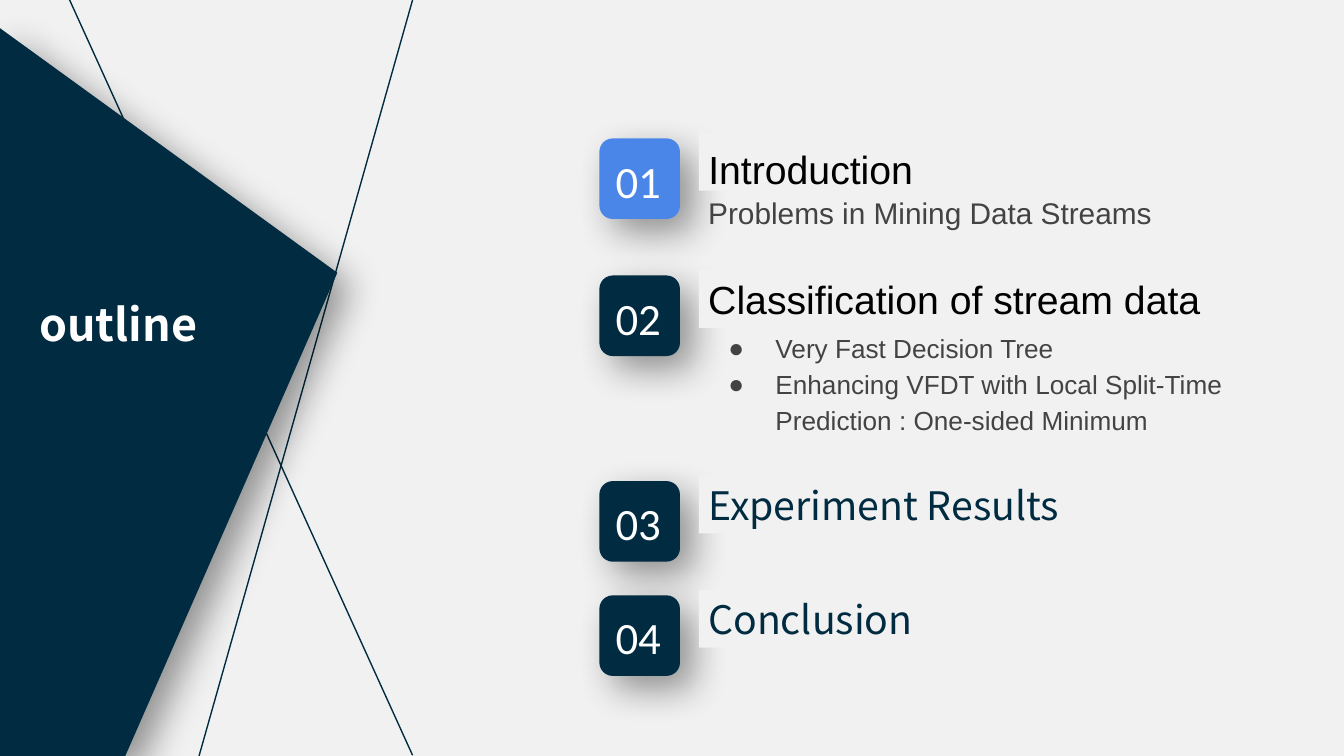
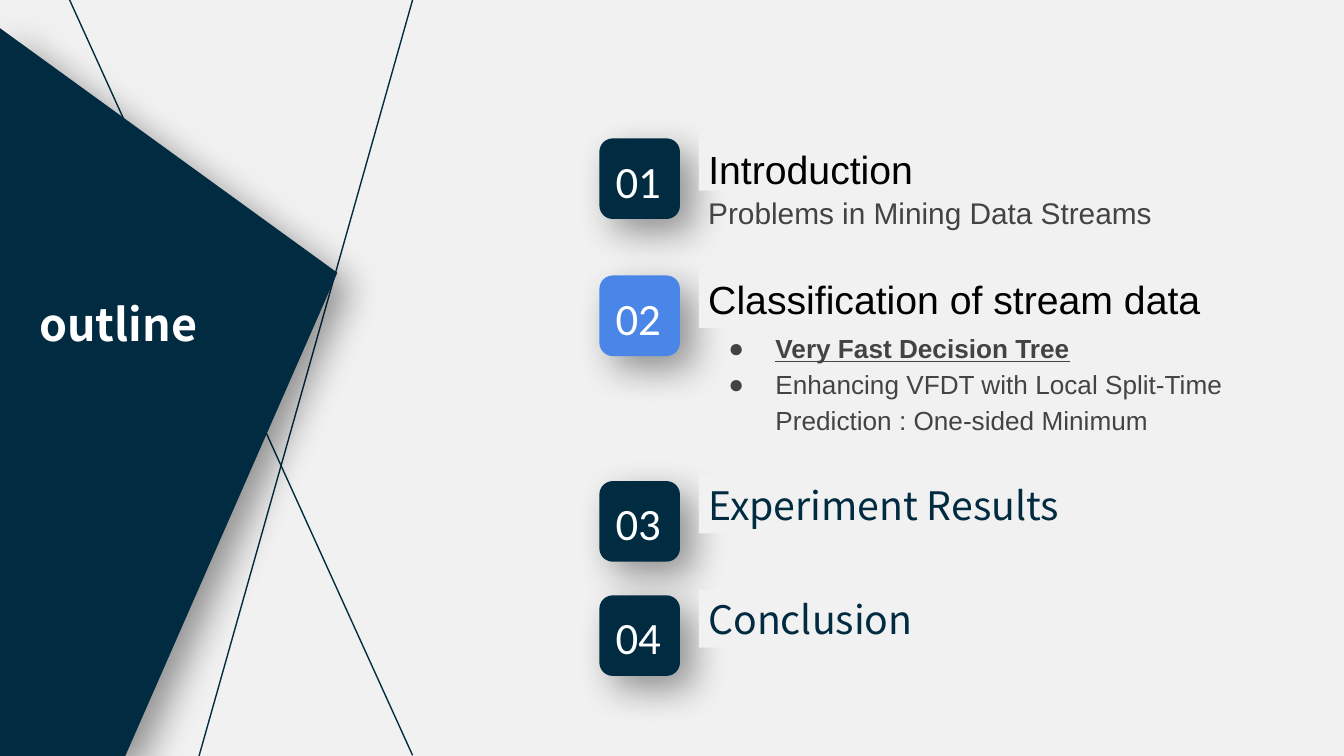
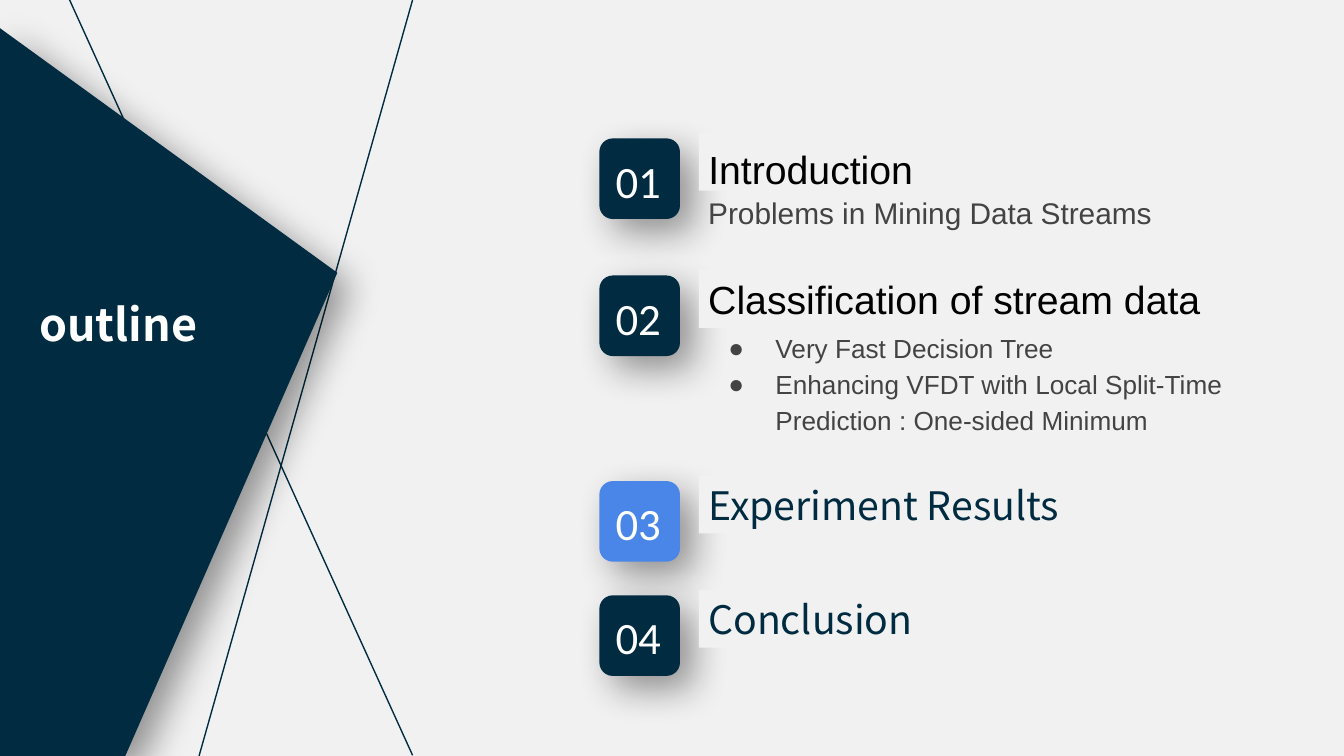
from lxml import etree
from pptx import Presentation
from pptx.dml.color import RGBColor
from pptx.enum.shapes import MSO_CONNECTOR, MSO_SHAPE
from pptx.enum.text import MSO_ANCHOR, MSO_AUTO_SIZE, PP_ALIGN
from pptx.oxml import parse_xml
from pptx.oxml.ns import nsdecls, qn
from pptx.util import Inches, Pt

LINE = MSO_CONNECTOR.STRAIGHT
RECT, ROUNDED = MSO_SHAPE.RECTANGLE, MSO_SHAPE.ROUNDED_RECTANGLE
TOP, MIDDLE = MSO_ANCHOR.TOP, MSO_ANCHOR.MIDDLE
LEFT, CENTER = PP_ALIGN.LEFT, PP_ALIGN.CENTER
NO_FIT = MSO_AUTO_SIZE.NONE

NAVY = RGBColor(0x00, 0x2B, 0x41)
BLUE = RGBColor(0x4A, 0x86, 0xE8)
PALE = RGBColor(0xF1, 0xF1, 0xF1)
GRAY = RGBColor(0x43, 0x43, 0x43)
BLACK = RGBColor(0x00, 0x00, 0x00)
WHITE = RGBColor(0xFF, 0xFF, 0xFF)

SANS, NOTO, DIGITS = "Arial", "Noto Sans CJK SC", "Calibri"

# Outline entries: top of the badge, heading, heading width, font, colour
SECTIONS = [
    (1.03, "Introduction", 2.38, SANS, BLACK),
    (2.05, "Classification of stream data", 4.34, SANS, BLACK),
    (3.58, "Experiment Results", 3.87, NOTO, NAVY),
    (4.43, "Conclusion", 2.38, NOTO, NAVY),
]
PROBLEMS = "Problems in Mining Data Streams"
METHODS = [
    "Very Fast Decision Tree",
    "Enhancing VFDT with Local Split-Time Prediction : One-sided Minimum",
]
# One slide each: current section, emphasised method
SLIDES = [(1, None), (2, METHODS[0]), (3, None)]


class Deck:
    def __init__(self):
        self.prs = Presentation()
        self.prs.slide_width, self.prs.slide_height = Inches(10), Inches(5.625)
        self.s = None

    def new_slide(self):
        self.s = self.prs.slides.add_slide(self.prs.slide_layouts[5])
        fill = self.s.background.fill
        fill.solid()
        fill.fore_color.rgb = PALE

    def line(self, x1, y1, x2, y2):
        ln = self.s.shapes.add_connector(
            LINE, Inches(x1), Inches(y1), Inches(x2), Inches(y2))
        ln.line.color.rgb = NAVY
        ln.line.width = Pt(0.75)
        etree.SubElement(ln.element.spPr, qn("a:effectLst"))

    def paint(self, sp, color, shadow=False):
        sp.shadow.inherit = False
        sp.fill.solid()
        sp.fill.fore_color.rgb = color
        sp.line.fill.background()
        if shadow:
            effects = sp.element.spPr.find(qn("a:effectLst"))
            effects.append(parse_xml(
                f'<a:outerShdw {nsdecls("a")} blurRad="{Pt(20)}" dist="{Pt(10)}" '
                'dir="2700000" algn="bl" rotWithShape="0"><a:srgbClr val="000000">'
                '<a:alpha val="40000"/></a:srgbClr></a:outerShdw>'))

    def polygon(self, points, color):
        start, *rest = [(Inches(x), Inches(y)) for x, y in points]
        builder = self.s.shapes.build_freeform(*start)
        builder.add_line_segments(rest, close=True)
        self.paint(builder.convert_to_shape(), color, shadow=True)

    def box(self, shape, x, y, w, h, color, shadow=False):
        sp = self.s.shapes.add_shape(
            shape, Inches(x), Inches(y), Inches(w), Inches(h))
        self.paint(sp, color, shadow)
        return sp

    def set_text(self, sp, lines, size, font, color, anchor=TOP, align=LEFT,
                 spacing=1.0, bullets=False, bold=False, emphasis=None):
        tf = sp.text_frame
        tf.word_wrap, tf.auto_size, tf.vertical_anchor = True, NO_FIT, anchor
        tf.margin_left = tf.margin_right = Inches(0.07)
        tf.margin_top = tf.margin_bottom = Inches(0.04)
        tf.text = "\n".join(lines)
        for p in tf.paragraphs:
            if bullets:
                self.bullet(p, color)
            p.alignment, p.line_spacing = align, spacing
            p.space_before = p.space_after = Pt(0)
            for r in p.runs:
                f = r.font
                f.size, f.name, f.color.rgb = Pt(size), font, color
                f.bold = bold or r.text == emphasis
                f.underline = r.text == emphasis

    def bullet(self, p, color):
        pPr = p._p.get_or_add_pPr()
        pPr.set("marL", str(Inches(0.5)))
        pPr.set("indent", str(Inches(-0.35)))
        clr = etree.SubElement(pPr, qn("a:buClr"))
        etree.SubElement(clr, qn("a:srgbClr"), val=str(color))
        etree.SubElement(pPr, qn("a:buFont"), typeface=SANS)
        etree.SubElement(pPr, qn("a:buChar"), char="●")

    def text(self, x, y, w, h, lines, size, font, color, **style):
        sp = self.s.shapes.add_textbox(
            Inches(x), Inches(y), Inches(w), Inches(h))
        self.set_text(sp, lines, size, font, color, **style)

    def title(self, x, y, w, h, text):
        sp = self.s.shapes.title
        sp.left, sp.top, sp.width, sp.height = map(Inches, (x, y, w, h))
        self.set_text(sp, [text], 24, NOTO, WHITE, MIDDLE, CENTER, bold=True)
        # Bring the title in front of the panel
        sp.element.getparent().append(sp.element)

    def section(self, number, top, heading, width, font, color, current):
        self.box(ROUNDED, 4.46, top, 0.6, 0.6, BLUE if current else NAVY, True)
        self.text(4.51, top + 0.07, 0.49, 0.48, [f"{number:02}"],
                  24, DIGITS, WHITE)
        sp = self.box(RECT, 5.2, top - 0.04, width, 0.43, PALE)
        first = number == 1
        self.set_text(sp, [heading], 21, font, color, TOP if first else MIDDLE,
                      spacing=1.15 if first else 1.0)

    def save(self):
        self.prs.save("out.pptx")


def main():
    deck = Deck()
    for current, emphasis in SLIDES:
        deck.new_slide()

        # Side panel with crossing lines
        deck.line(3.07, 0, 1.46, 5.7)
        deck.line(3.07, 5.62, 0.45, -0.15)
        deck.polygon([(0, 0.21), (2.51, 2.03), (0.93, 5.63), (0, 5.63)], NAVY)
        deck.title(0.16, 2.17, 1.44, 0.48, "outline")

        # Numbered sections
        for number, entry in enumerate(SECTIONS, 1):
            deck.section(number, *entry, number == current)

        # Section details
        deck.text(5.2, 1.37, 3.73, 0.25, [PROBLEMS], 16, SANS, GRAY,
                  spacing=1.15)
        deck.text(5.2, 2.4, 4.54, 1.05, METHODS, 14, SANS, GRAY,
                  spacing=1.15, bullets=True, emphasis=emphasis)
    deck.save()


if __name__ == "__main__":
    main()
